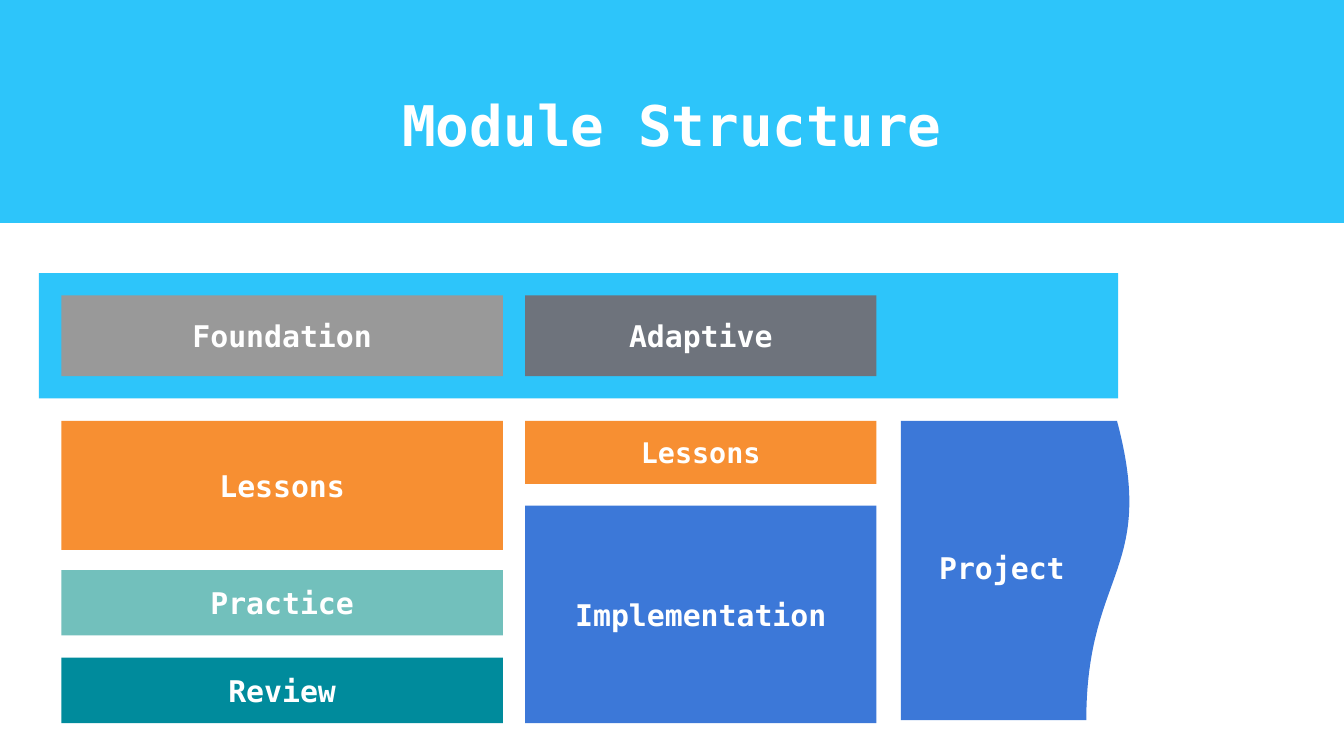
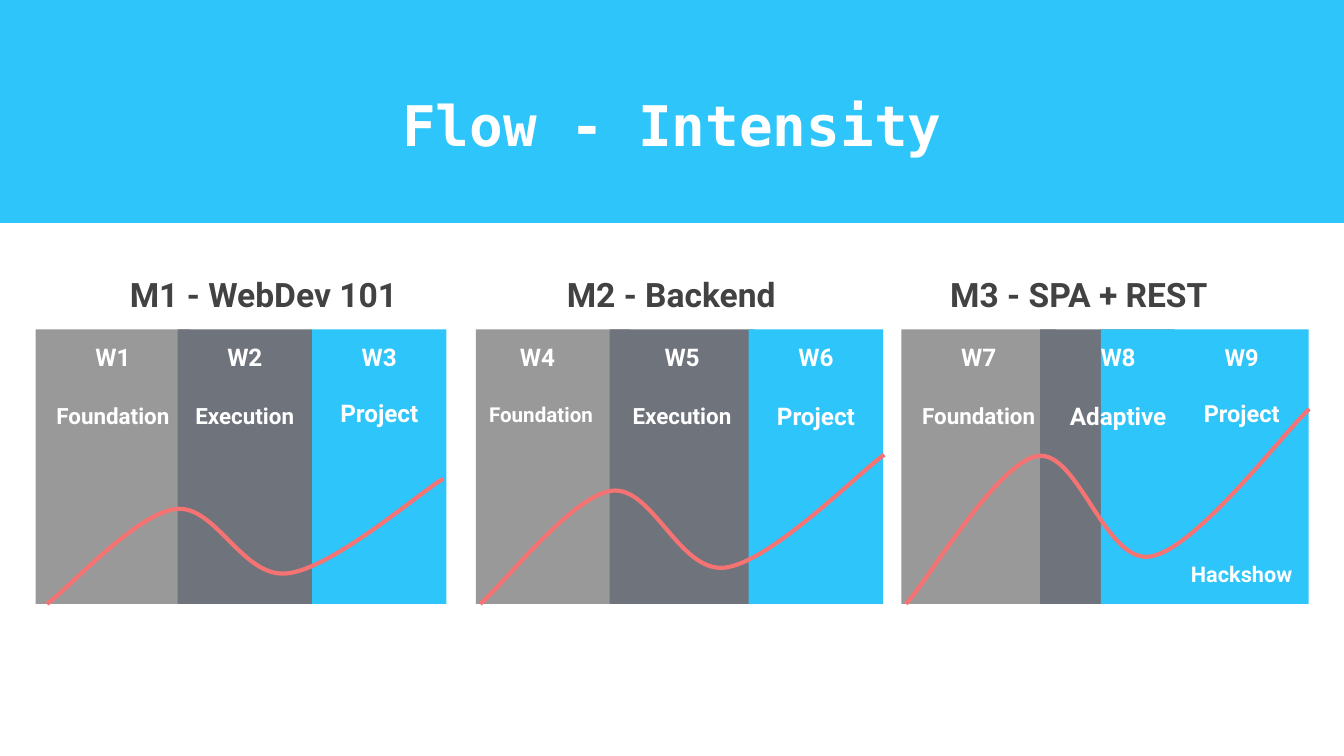
"""Build the module structure and intensity flow slides."""
from lxml import etree
from pptx import Presentation
from pptx.dml.color import RGBColor
from pptx.enum.shapes import MSO_SHAPE
from pptx.enum.text import MSO_ANCHOR, PP_ALIGN
from pptx.oxml.ns import qn
from pptx.util import Pt

RECT = MSO_SHAPE.RECTANGLE
TOP, MIDDLE, BOTTOM = MSO_ANCHOR.TOP, MSO_ANCHOR.MIDDLE, MSO_ANCHOR.BOTTOM
CENTER, LEFT = PP_ALIGN.CENTER, PP_ALIGN.LEFT

WHITE = RGBColor(0xFF, 0xFF, 0xFF)
SKY = RGBColor(0x2D, 0xC5, 0xFA)
GREY = RGBColor(0x99, 0x99, 0x99)
SLATE = RGBColor(0x6E, 0x73, 0x7C)
ORANGE = RGBColor(0xF7, 0x8F, 0x32)
MINT = RGBColor(0x72, 0xC0, 0xBC)
TEAL = RGBColor(0x00, 0x8B, 0x9C)
BLUE = RGBColor(0x3C, 0x78, 0xD8)
CORAL = RGBColor(0xF6, 0x73, 0x73)
INK = RGBColor(0x42, 0x42, 0x42)

MONO, SANS = "DejaVu Sans Mono", "Roboto"
WIDTH, HEIGHT = 720, 405
INSET = 7.2
GAP = 16

STRUCTURE = [
    (32.9, 236.5, [
        ("Foundation", 158.3, 43.3, GREY, 16),
        ("Lessons", 225.5, 69.1, ORANGE, 16),
        ("Practice", 305.4, 35.1, MINT, 16),
        ("Review", 352.4, 35.1, TEAL, 16),
    ]),
    (281.3, 188.2, [
        ("Adaptive", 158.3, 43.3, SLATE, 16),
        ("Lessons", 225.5, 33.8, ORANGE, 15.2),
        ("Implementation", 270.9, 116.6, BLUE, 16),
    ]),
]
BACKDROP = (20.9, 146.3, 578.1, 67.2)
PROJECT_BOX = (483.1, 287.3, 107.3, 33.1)
PROJECT_WAVE = [(482.6, 225.4), (482.6, 385.8), (582, 385.8),
                (582, 306), (620, 306), (598.4, 225.4)]
PROJECT_WIDTH = 122.4

WEEK_TOP, WEEK_HEIGHT = 176.4, 147.1
HEADING_LEFT, HEADING_STEP = 43.3, 218.4
MODULES = [
    ("M1 - WebDev 101", (25.2, 212.2, 67), [
        (19.1, 82.8, GREY, [("W1", 13, 0), ("Foundation", 12, GAP)]),
        (95.2, 72, SLATE, [("W2", 13, 0), ("Execution", 12, GAP)]),
        (167.2, 72, SKY, [("W3", 13, 0), ("Project", 13, 14)]),
    ]),
    ("M2 - Backend", (257.3, 216.4, 79.9), [
        (254.9, 82.8, GREY, [("W4", 13, 0, 16.5), ("Foundation", 11, GAP, 0)]),
        (326.6, 77.6, SLATE, [("W5", 13, 0), ("Execution", 12, GAP)]),
        (401.1, 72, SKY, [("W6", 13, 0), ("Project", 13, GAP)]),
    ]),
    ("M3 - SPA + REST", (485.4, 216, 104.4), [
        (482.9, 82.8, GREY, [("W7", 13, 0), ("Foundation", 12, GAP)]),
        (557.2, 72, SLATE, []),
        (589.8, 111.3, SKY, []),
        (563, 72, None, [("W8", 13, 0), ("Adaptive", 13, GAP)]),
        (629.2, 72, None, [("W9", 12.6, 0), ("Project", 12.6, 15),
                           ("Hackshow", 11.6, 71.5)]),
    ]),
]
INTENSITY = [(0, 0), (5.4, 12), (22.4, 72), (32.5, 75.8), (42.6, 79.6),
             (49.3, 20.5), (60.6, 24.3), (71.9, 28), (93.3, 87), (100, 100)]


def write(shape, lines, font, color, anchor=MIDDLE):
    """Fill a shape with (text, size, space before, optional left indent) lines."""
    tf = shape.text_frame
    tf.word_wrap = True
    tf.vertical_anchor = anchor
    tf.margin_left = tf.margin_right = tf.margin_top = tf.margin_bottom = Pt(INSET)
    tf.text = "\n".join(line[0] for line in lines)
    for p, (_, size, gap, *indent) in zip(tf.paragraphs, lines):
        p.alignment = LEFT if indent else CENTER
        p.space_before = Pt(gap)
        if indent:
            p._p.get_or_add_pPr().set("marL", str(Pt(indent[0])))
        for r in p.runs:
            r.font.name, r.font.size, r.font.bold = font, Pt(size), True
            r.font.color.rgb = color


def add_box(s, box, fill):
    """Add a plain rectangle."""
    sp = s.shapes.add_shape(RECT, *map(Pt, box))
    sp.shadow.inherit = False
    sp.fill.solid()
    sp.fill.fore_color.rgb = fill
    sp.line.fill.background()
    return sp


def add_text(s, box, lines, font, color, anchor=MIDDLE):
    """Add a text box."""
    write(s.shapes.add_textbox(*map(Pt, box)), lines, font, color, anchor)


def add_curve(s, points, straight=0, close=False):
    """Add a freeform of some straight segments followed by cubic curves."""
    emu = [(Pt(x), Pt(y)) for x, y in points]
    builder = s.shapes.build_freeform(*emu[0])
    builder.add_line_segments(emu[1:], close=close)
    sp = builder.convert_to_shape()
    sp.shadow.inherit = False
    segments = list(sp._element.iter(qn("a:lnTo")))[straight:]
    for i in range(0, len(segments), 3):
        cubic = etree.Element(qn("a:cubicBezTo"))
        segments[i].addprevious(cubic)
        for segment in segments[i:i + 3]:
            cubic.append(segment[0])
            segment.getparent().remove(segment)
    return sp


def add_slide(prs, title):
    """Add a blank slide with the title band."""
    s = prs.slides.add_slide(prs.slide_layouts[6])
    add_box(s, (0, 0, WIDTH, 119.5), SKY)
    add_text(s, (33.8, 25.6, 652.4, 82.1), [(title, 30, 0)], MONO, WHITE)
    return s


def build_structure(prs):
    """Draw the blocks that make up a module."""
    s = add_slide(prs, "Module Structure")
    add_box(s, BACKDROP, SKY)
    for left, width, blocks in STRUCTURE:
        for text, top, height, fill, size in blocks:
            sp = add_box(s, (left, top, width, height), fill)
            write(sp, [(text, size, 0)], MONO, WHITE)
    wave = add_curve(s, PROJECT_WAVE, straight=2, close=True)
    wave.width = Pt(PROJECT_WIDTH)
    next(wave._element.iter(qn("a:path"))).set("w", str(wave.width))
    wave.fill.solid()
    wave.fill.fore_color.rgb = BLUE
    wave.line.fill.background()
    add_text(s, PROJECT_BOX, [("Project", 16, 0)], MONO, WHITE)


def build_flow(prs):
    """Draw the weeks of each module under its intensity curve."""
    s = add_slide(prs, "Flow - Intensity")
    bottom = WEEK_TOP + WEEK_HEIGHT
    for i, (heading, (start, span, rise), weeks) in enumerate(MODULES):
        add_text(s, (HEADING_LEFT + i * HEADING_STEP, 132.2, 195.8, 43.2),
                 [(heading, 18, 0)], SANS, INK, BOTTOM)
        for left, width, fill, lines in weeks:
            box = (left, WEEK_TOP, width, WEEK_HEIGHT)
            if fill is None:
                add_text(s, box, lines, SANS, WHITE, TOP)
            else:
                sp = add_box(s, box, fill)
                if lines:
                    write(sp, lines, SANS, WHITE, TOP)
        curve = add_curve(s, [(start + x * span / 100, bottom - y * rise / 100)
                              for x, y in INTENSITY])
        curve.fill.background()
        curve.line.color.rgb = CORAL
        curve.line.width = Pt(2.25)


def main():
    """Build and save the presentation."""
    prs = Presentation()
    prs.slide_width, prs.slide_height = Pt(WIDTH), Pt(HEIGHT)
    build_structure(prs)
    build_flow(prs)
    prs.save("out.pptx")


if __name__ == "__main__":
    main()
